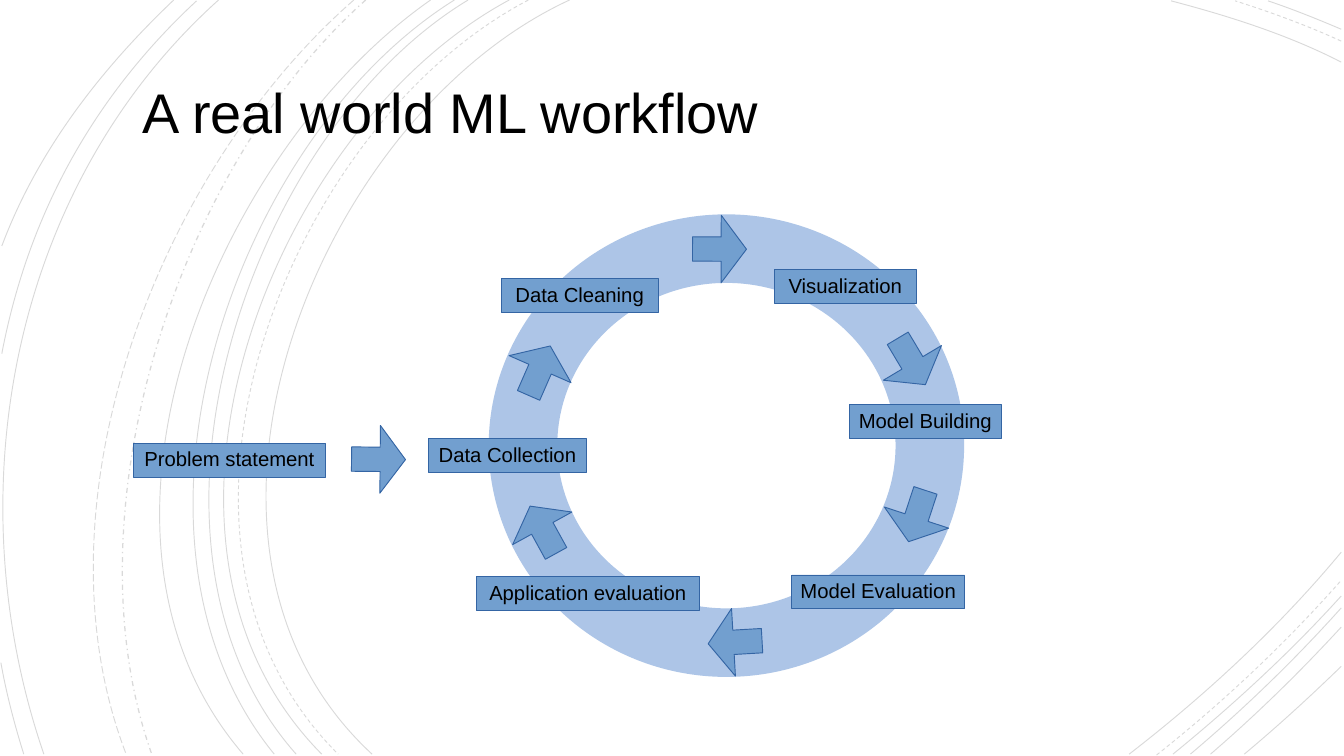
import pptx
import pptx.dml.color
import pptx.enum.dml
import pptx.enum.shapes
import pptx.enum.text
import pptx.oxml.ns
import pptx.util
from lxml import etree

SCALE = 9144
BLACK = pptx.dml.color.RGBColor(0x00, 0x00, 0x00)
STEEL = pptx.dml.color.RGBColor(0x72, 0x9F, 0xCF)
NAVY = pptx.dml.color.RGBColor(0x34, 0x65, 0xA4)
PALE = pptx.dml.color.RGBColor(0xAD, 0xC5, 0xE7)

SHAPE = pptx.enum.shapes.MSO_SHAPE
DASH = pptx.enum.dml.MSO_LINE
qn = pptx.oxml.ns.qn

ARCS = [
    ((623, 0), (347, 127), (158, 595), (407, 825)),
    ((1467, 68), (1409, 38), (1342, 17), (1281, 1)),
    ((1235, 825), (1319, 760), (1399, 686), (1467, 604)),
    ((578, 0), (314, 138), (135, 592), (370, 825), DASH.DASH),
    ((1467, 45), (1430, 28), (1389, 13), (1351, 1), DASH.DASH),
    ((1265, 826), (1337, 769), (1405, 705), (1466, 636), DASH.DASH),
    ((557, 0), (297, 140), (121, 592), (352, 825)),
    ((1467, 32), (1441, 21), (1414, 10), (1387, 1)),
    ((1283, 825), (1348, 772), (1411, 714), (1467, 652)),
    ((512, 0), (269, 147), (121, 596), (324, 825)),
    ((1302, 825), (1360, 776), (1416, 722), (1467, 665)),
    ((497, 0), (254, 152), (107, 588), (300, 825)),
    ((1324, 825), (1374, 782), (1422, 735), (1467, 686)),
    ((471, 0), (239, 162), (58, 583), (266, 825)),
    ((1361, 825), (1397, 795), (1432, 763), (1467, 729)),
    ((400, 0), (194, 183), (72, 561), (166, 825), DASH.DASH_DOT, 1),
    ((387, 0), (174, 186), (32, 550), (138, 825), DASH.LONG_DASH),
    ((239, 0), (12, 204), (-50, 540), (48, 825)),
    ((215, 1), (102, 106), (31, 235), (2, 387)),
    ((1, 725), (7, 759), (16, 793), (26, 825)),
    ((190, 0), (110, 76), (41, 165), (2, 269)),
]

STEPS = [
    ("Data Collection", 469, 480, 172),
    ("Data Cleaning", 548, 305, 172),
    ("Visualization", 847, 295, 155),
    ("Model Building", 929, 443, 166),
    ("Application evaluation", 521, 631, 244),
    ("Model Evaluation", 866, 629, 189),
]

ARROWS = [
    (553, 376, 23.6),
    (750, 243, 90.2),
    (767, 673, 266.7),
    (960, 366, 149.2),
    (557, 550, 331.2),
    (377, 473, 90.5),
    (966, 535, 198.2),
]


def px(n):
    return pptx.util.Emu(n * SCALE)


def write(sp, text, size=16, color=BLACK, font="Arial", wrap=False, after=0):
    tf = sp.text_frame
    tf.word_wrap = wrap
    tf.vertical_anchor = pptx.enum.text.MSO_ANCHOR.MIDDLE
    p = tf.paragraphs[0]
    p.alignment = pptx.enum.text.PP_ALIGN.CENTER
    p.line_spacing = 0.9
    p.space_after = pptx.util.Pt(after)
    r = p.add_run()
    r.text = text
    r.font.size = pptx.util.Pt(size)
    r.font.name = font
    r.font.color.rgb = color


class Deck:
    def __init__(self, w, h):
        self.prs = pptx.Presentation()
        self.prs.slide_width, self.prs.slide_height = px(w), px(h)
        self.s = self.prs.slides.add_slide(self.prs.slide_layouts[6])
        self.shapes = self.s.shapes

    def open_group(self):
        self.shapes = self.s.shapes.add_group_shape().shapes

    def close_group(self):
        self.shapes = self.s.shapes

    def paint(self, sp, fill=STEEL, line=NAVY, width=0.75):
        sp.shadow.inherit = False
        if fill is None:
            sp.fill.background()
        else:
            sp.fill.solid()
            sp.fill.fore_color.rgb = fill
        sp.line.color.rgb = line
        sp.line.width = pptx.util.Pt(width)

    def shape(self, kind, x, y, w, h, **style):
        sp = self.shapes.add_shape(kind, px(x), px(y), px(w), px(h))
        self.paint(sp, **style)
        return sp

    def title(self, text, x, y, w, h):
        sp = self.shapes.add_textbox(px(x), px(y), px(w), px(h))
        write(sp, text, size=44, wrap=True)

    def box(self, text, x, y, w, h=37):
        write(self.shape(SHAPE.RECTANGLE, x, y, w, h), text, after=6)

    def arrow(self, x, y, angle):
        sp = self.shape(SHAPE.UP_ARROW, x, y, 74, 59)
        sp.adjustments[0] = 0.36
        sp.adjustments[1] = 0.47
        sp.rotation = angle

    def arc(self, start, c1, c2, end, dash=DASH.SOLID, width=0.75):
        builder = self.shapes.build_freeform(*start, scale=SCALE)
        builder.add_line_segments([c1, c2, end], close=False)
        sp = builder.convert_to_shape()
        self.paint(sp, fill=None, line=BLACK, width=width)
        sp.line.dash_style = dash
        outline = sp._element.find(".//" + qn("a:path"))
        segments = outline.findall(qn("a:lnTo"))
        curve = etree.SubElement(outline, qn("a:cubicBezTo"))
        for segment in segments:
            curve.append(segment[0])
            outline.remove(segment)
        ink = sp._element.spPr.find(qn("a:ln")).find(".//" + qn("a:srgbClr"))
        etree.SubElement(ink, qn("a:alpha")).set("val", "15000")


def main():
    deck = Deck(1470, 827)
    deck.open_group()
    for arc in ARCS:
        deck.arc(*arc)
    deck.close_group()
    deck.title("A real world ML workflow", -30, 63, 1046, 126)
    deck.open_group()
    deck.shape(SHAPE.OVAL, 572, 272, 445, 431, fill=None, line=PALE, width=54)
    for step in STEPS:
        deck.box(*step)
    for arrow in ARROWS:
        deck.arrow(*arrow)
    deck.close_group()
    deck.box("Problem statement", 146, 485, 210)
    deck.prs.save("out.pptx")


if __name__ == "__main__":
    main()
